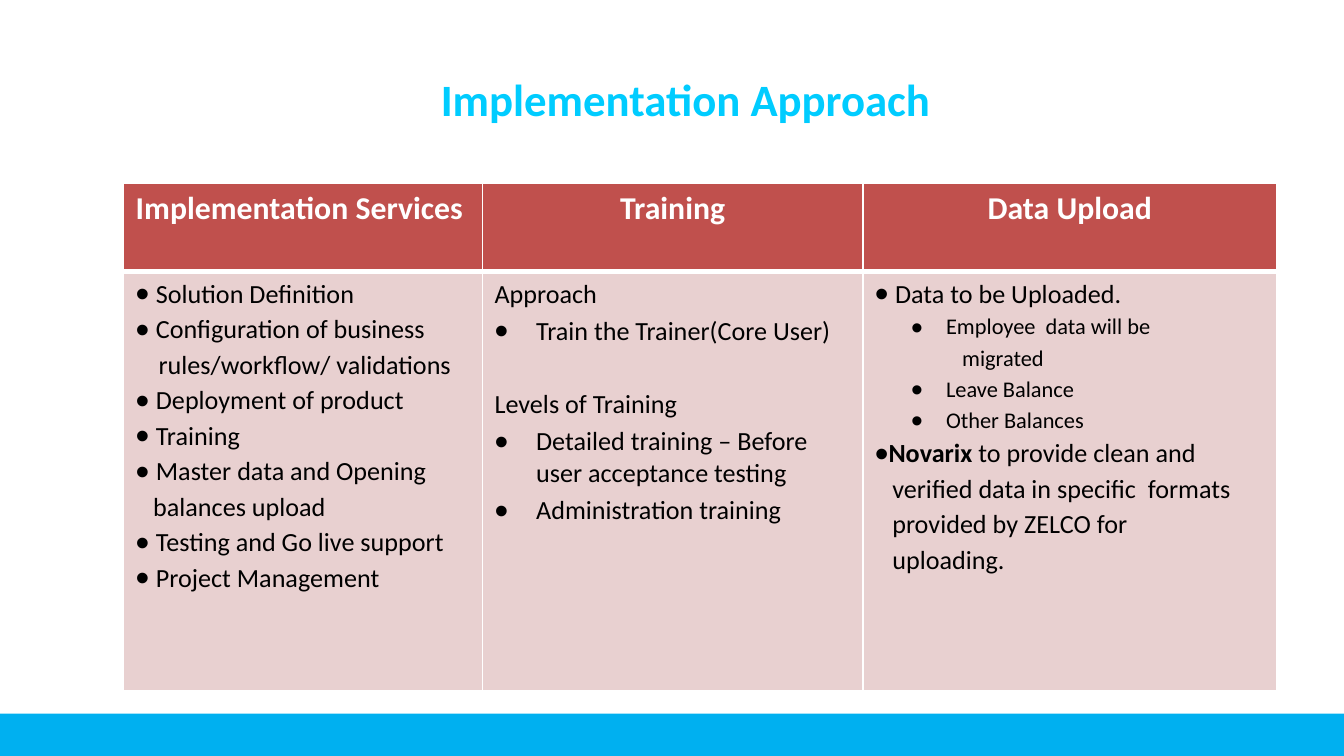
import pptx
import pptx.dml.color
import pptx.enum.shapes
import pptx.enum.text
import pptx.oxml.ns
import pptx.util
from lxml import etree

Inches, Pt = pptx.util.Inches, pptx.util.Pt
RGBColor = pptx.dml.color.RGBColor
qn = pptx.oxml.ns.qn
PP_ALIGN = pptx.enum.text.PP_ALIGN

CYAN = RGBColor(0x00, 0xCC, 0xFF)
BLUE = RGBColor(0x00, 0xB0, 0xF0)
RED = RGBColor(0xC0, 0x50, 0x4D)
PINK = RGBColor(0xE8, 0xD0, 0xD0)
WHITE = RGBColor(0xFF, 0xFF, 0xFF)
BLACK = RGBColor(0x00, 0x00, 0x00)


class SlideBuilder:
    """Holds the deck style and adds elements to the current slide."""

    font = "Calibri"

    def __init__(self, s):
        self.s = s

    def run(self, p, text, size, color, bold=False):
        r = p.add_run()
        r.text = text
        r.font.name = self.font
        r.font.size = Pt(size)
        r.font.bold = bold
        r.font.color.rgb = color

    def bar(self, x, y, w, h, color):
        sp = self.s.shapes.add_shape(
            pptx.enum.shapes.MSO_SHAPE.RECTANGLE,
            Inches(x), Inches(y), Inches(w), Inches(h))
        sp.shadow.inherit = False
        sp.fill.solid()
        sp.fill.fore_color.rgb = color
        sp.line.fill.background()

    def title(self, text, x, y, w, h):
        tf = self.s.shapes.add_textbox(
            Inches(x), Inches(y), Inches(w), Inches(h)).text_frame
        tf.word_wrap = True
        tf.vertical_anchor = pptx.enum.text.MSO_ANCHOR.TOP
        tf.margin_left = tf.margin_right = Inches(0.07)
        tf.margin_top = tf.margin_bottom = Inches(0.03)
        self.run(tf.paragraphs[0], text, 24, CYAN, True)

    def table(self, x, y, widths, heights):
        frame = self.s.shapes.add_table(
            len(heights), len(widths), Inches(x), Inches(y),
            Inches(sum(widths)), Inches(sum(heights)))
        table = frame.table
        for column, width in zip(table.columns, widths):
            column.width = Inches(width)
        for row, height in zip(table.rows, heights):
            row.height = Inches(height)
        return table

    def cell(self, cell, color, **borders):
        tcPr = cell._tc.get_or_add_tcPr()
        for side in "LRTB":
            width = Pt(borders.get(side, 1))
            ln = etree.SubElement(tcPr, qn(f"a:ln{side}"), w=str(width))
            fill = etree.SubElement(ln, qn("a:solidFill"))
            etree.SubElement(fill, qn("a:srgbClr"), val=str(WHITE))
        cell.fill.solid()
        cell.fill.fore_color.rgb = color
        cell.margin_left = cell.margin_right = Inches(0.09)
        cell.margin_top = cell.margin_bottom = Inches(0.05)

    def heading(self, cell, text, align):
        self.cell(cell, RED, B=3)
        p = cell.text_frame.paragraphs[0]
        p.alignment = align
        self.run(p, text, 17, WHITE, True)

    def body(self, cell, lines):
        self.cell(cell, PINK, T=3)
        tf = cell.text_frame
        for i, (text, style) in enumerate(lines):
            p = tf.add_paragraph() if i else tf.paragraphs[0]
            self.line(p, text, **style)

    def line(self, p, text, left=0, hang=0, before=2, size=14, lead="", level=0):
        p.level = level
        p.space_before = Pt(before)
        pPr = p._p.get_or_add_pPr()
        pPr.set("marL", str(Inches(left)))
        pPr.set("indent", str(-Inches(hang)))
        if hang:
            etree.SubElement(pPr, qn("a:buSzPct"), val="150000")
            etree.SubElement(pPr, qn("a:buFont"), typeface="Arial")
            etree.SubElement(pPr, qn("a:buChar"), char="•")
        else:
            etree.SubElement(pPr, qn("a:buNone"))
        if lead:
            self.run(p, lead, size, BLACK, True)
        self.run(p, text, size, BLACK)


ITEM = dict(left=0.15, hang=0.15)
MORE = dict(left=0.13)
PLAIN = dict(before=2.8)
POINT = dict(left=0.31, hang=0.31, before=2.8)
SUB = dict(left=0.53, hang=0.26, size=12, level=1)
SUB_MORE = dict(left=0.65, size=12, level=1)

COLUMNS = [
    ("Implementation Services", PP_ALIGN.LEFT, [
        ("Solution Definition", ITEM),
        ("Configuration of business", ITEM),
        ("rules/workflow/ validations", dict(left=0.17)),
        ("Deployment of product", ITEM),
        ("Training", ITEM),
        ("Master data and Opening", ITEM),
        ("balances upload", MORE),
        ("Testing and Go live support", ITEM),
        ("Project Management", ITEM),
    ]),
    ("Training", PP_ALIGN.CENTER, [
        ("Approach", PLAIN),
        ("Train the Trainer(Core User)", POINT),
        ("Levels of Training", dict(before=22.4)),
        ("Detailed training – Before user acceptance testing", POINT),
        ("Administration training", POINT),
    ]),
    ("Data Upload", PP_ALIGN.CENTER, [
        ("Data to be Uploaded.", ITEM),
        ("Employee  data will be", SUB),
        ("migrated", SUB_MORE),
        ("Leave Balance", SUB),
        ("Other Balances", SUB),
        ("to provide clean and", dict(left=0.1, hang=0.1, lead="Novarix ")),
        ("verified data in specific  formats", MORE),
        ("provided by ZELCO for", MORE),
        ("uploading.", MORE),
    ]),
]


def main():
    prs = pptx.Presentation()
    prs.slide_width = Inches(10)
    prs.slide_height = prs.slide_width * 9 // 16
    slide = SlideBuilder(prs.slides.add_slide(prs.slide_layouts[6]))
    slide.bar(0, 5.31, 10, 0.33, BLUE)
    slide.title("Implementation Approach", 3.21, 0.5, 4, 0.52)
    table = slide.table(0.92, 1.36, [2.67, 2.83, 3.08], [0.66, 3.12])
    for i, (name, align, lines) in enumerate(COLUMNS):
        slide.heading(table.cell(0, i), name, align)
        slide.body(table.cell(1, i), lines)
    prs.save("out.pptx")


if __name__ == "__main__":
    main()
